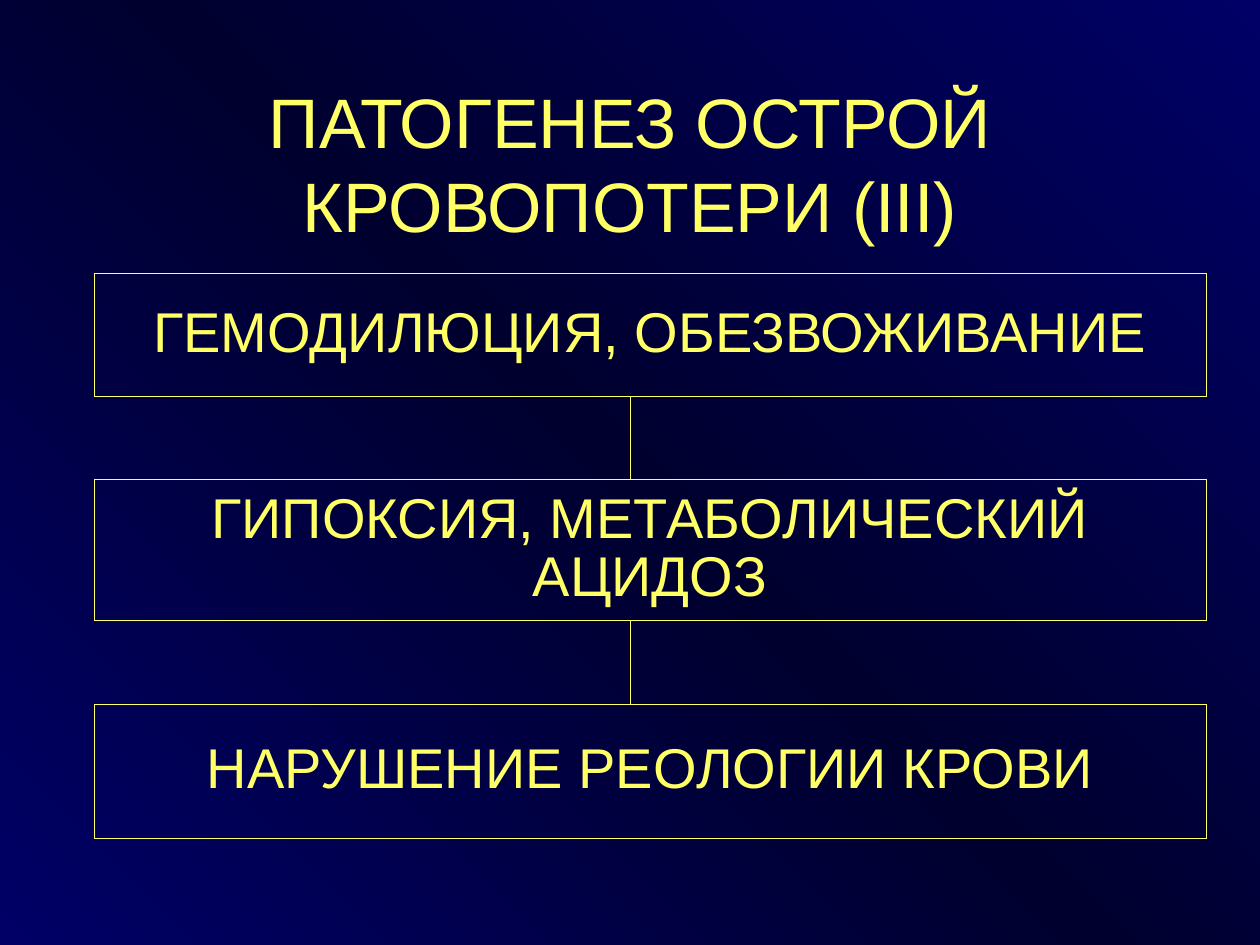
from copy import deepcopy
from dataclasses import dataclass

from lxml import etree
from pptx import Presentation, util as u
from pptx.dml.color import RGBColor
from pptx.enum import text as t
from pptx.oxml.ns import qn

YELLOW = RGBColor(0xFF, 0xFF, 0x66)
NAVY = RGBColor(0x00, 0x00, 0x66)
DARK = RGBColor(0x00, 0x00, 0x2F)
WIDE, HIGH = u.Inches(10), u.Inches(7.5)
LEFT = 0.075  # share of the slide's width
COLS = (4.25, 4.57)
PLAIN = "{2D5ABB26-0587-4C30-8999-92F81FD0307C}"
SIDES = {"l": "a:lnL", "r": "a:lnR", "t": "a:lnT", "b": "a:lnB"}


@dataclass(frozen=True)
class Row:
    """A full-width stage, or a gap whose middle line links two stages."""
    high: float
    label: str = ""


ROWS = (
    Row(0.98, "ГЕМОДИЛЮЦИЯ, ОБЕЗВОЖИВАНИЕ"),
    Row(0.66),
    Row(1.12, "ГИПОКСИЯ, МЕТАБОЛИЧЕСКИЙ АЦИДОЗ"),
    Row(0.66),
    Row(1.07, "НАРУШЕНИЕ РЕОЛОГИИ КРОВИ"),
)


def write(frame, words: str, *, size: int, space: float = 1.0) -> None:
    frame.word_wrap = True
    para = frame.paragraphs[0]
    para.alignment = t.PP_ALIGN.CENTER
    para.line_spacing = space
    run = para.add_run()
    run.text = words
    run.font.name, run.font.size = "Arial", u.Pt(size)
    run.font.color.rgb = YELLOW


def edge(cell, **lines: float) -> None:
    """Give each side of the cell a line of the given width in points."""
    props = cell._tc.get_or_add_tcPr()
    spot = 0
    for side, tag in SIDES.items():
        if side not in lines:
            continue
        line = etree.Element(qn(tag), w=str(u.Pt(lines[side])))
        fill = etree.SubElement(line, qn("a:solidFill"))
        etree.SubElement(fill, qn("a:srgbClr"), val=str(YELLOW))
        props.insert(spot, line)
        spot += 1


def paint(slide) -> None:
    """Fill the background with a diagonal navy, dark, navy blend."""
    fill = slide.background.fill
    fill.gradient()
    fill.gradient_angle = 225
    first = fill.gradient_stops[0]._gs
    first.addnext(deepcopy(first))
    for stop, place, tone in zip(fill.gradient_stops, (0, 0.5, 1), (NAVY, DARK, NAVY)):
        stop.position = place
        stop.color.rgb = tone


def head(slide) -> None:
    box = slide.shapes.add_textbox(
        int(LEFT * WIDE), int(0.076 * HIGH), int(0.85 * WIDE), int(0.192 * HIGH))
    box.text_frame.vertical_anchor = t.MSO_ANCHOR.MIDDLE
    write(box.text_frame, "ПАТОГЕНЕЗ ОСТРОЙ КРОВОПОТЕРИ (III)", size=40)


def chain(slide) -> None:
    """Draw the stages as merged rows joined by the line between columns."""
    frame = slide.shapes.add_table(
        len(ROWS), len(COLS), int(LEFT * WIDE), int(0.289 * HIGH),
        u.Inches(sum(COLS)), u.Inches(sum(r.high for r in ROWS)))
    grid = frame.table
    grid.first_row = grid.horz_banding = False
    grid._tbl.tblPr.find(qn("a:tableStyleId")).text = PLAIN
    for col, wide in zip(grid.columns, COLS):
        col.width = u.Inches(wide)
    for i, row in enumerate(ROWS):
        grid.rows[i].height = u.Inches(row.high)
        left, right = grid.cell(i, 0), grid.cell(i, 1)
        for cell in (left, right):
            cell.fill.background()
        if not row.label:
            edge(left, t=0.5, r=0.5, b=0.5)
            edge(right, l=0.5, b=0.5)
            continue
        left.merge(right)
        left.vertical_anchor = t.MSO_ANCHOR.MIDDLE
        write(left.text_frame, row.label, size=32, space=0.93)
        ends = {"t": 0.5}
        if i == len(ROWS) - 1:
            ends["b"] = 0.5
        edge(left, l=0.23, r=0.23, **ends)
        edge(right, r=0.23, **ends)


def main() -> None:
    deck = Presentation()
    deck.slide_width, deck.slide_height = WIDE, HIGH
    slide = deck.slides.add_slide(deck.slide_layouts[6])
    paint(slide)
    head(slide)
    chain(slide)
    deck.save("out.pptx")


if __name__ == "__main__":
    main()
